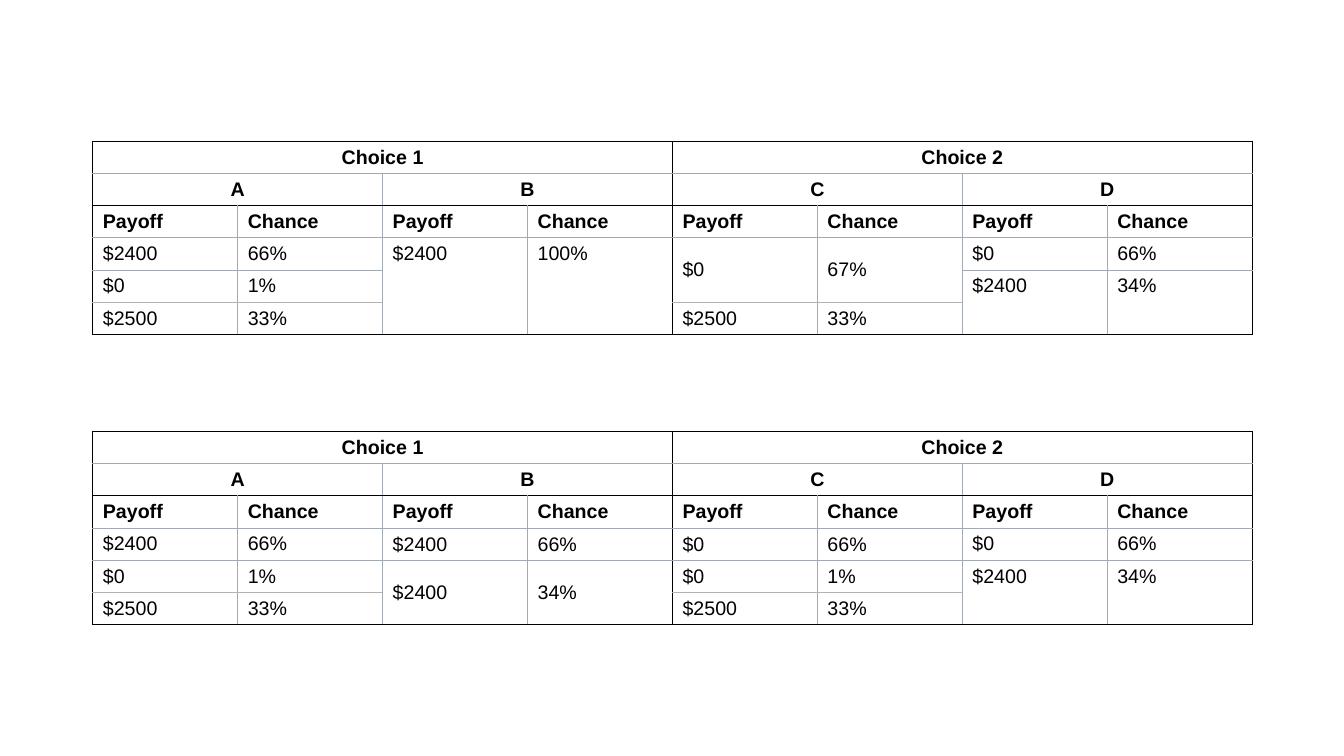
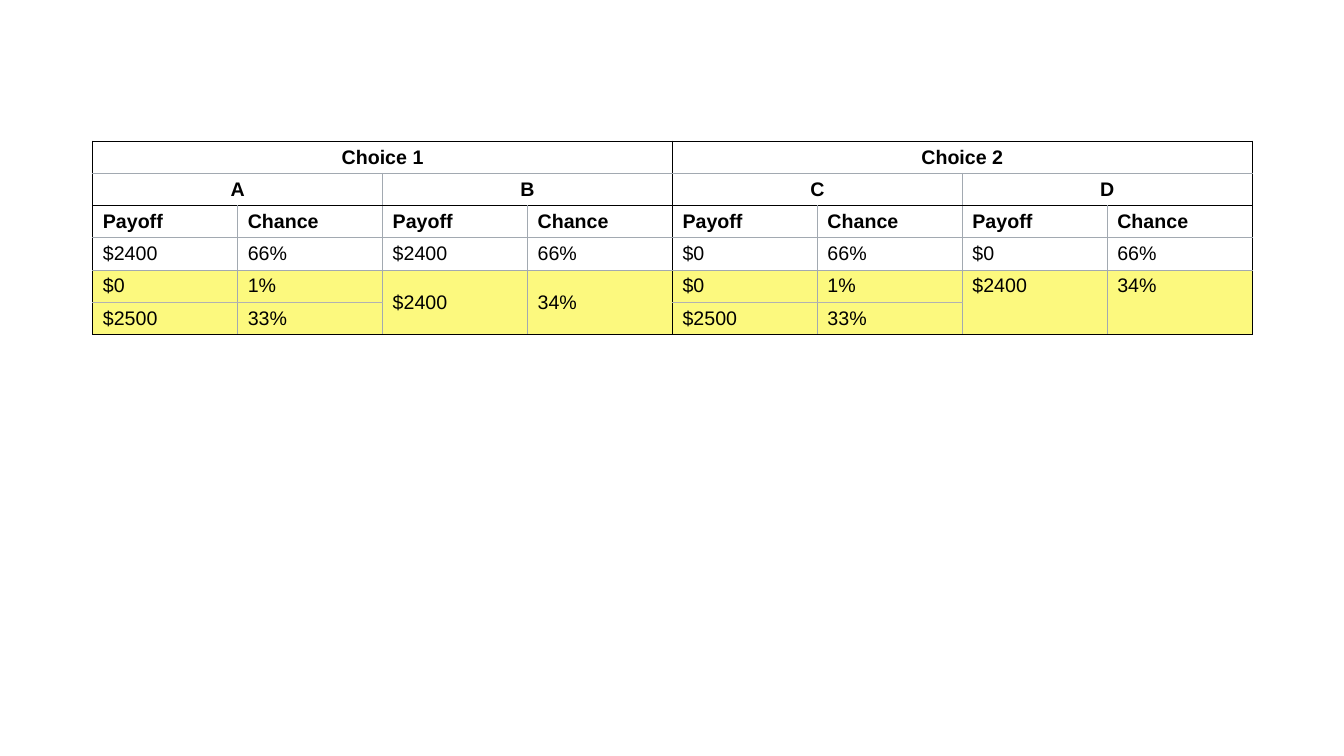
"""Build two slides that compare paired choices between gambles."""
from lxml import etree
from pptx import Presentation
from pptx.dml.color import RGBColor
from pptx.enum.text import MSO_ANCHOR, PP_ALIGN
from pptx.oxml.ns import qn
from pptx.util import Inches, Pt

CHOICES = ["Choice 1", "Choice 2"]
OPTIONS = ["A", "B", "C", "D"]
HEADINGS = ["Payoff", "Chance"]

GAMBLE_A = [("$2400", "66%", 1), ("$0", "1%", 1), ("$2500", "33%", 1)]
GAMBLE_D = [("$0", "66%", 1), ("$2400", "34%", 2)]
SIMPLE = {
    "gambles": [
        GAMBLE_A,
        [("$2400", "100%", 3)],
        [("$0", "67%", 2), ("$2500", "33%", 1)],
        GAMBLE_D,
    ],
    "middle": "C",
}
SPLIT = {
    "gambles": [
        GAMBLE_A,
        [("$2400", "66%", 1), ("$2400", "34%", 2)],
        [("$0", "66%", 1), ("$0", "1%", 1), ("$2500", "33%", 1)],
        GAMBLE_D,
    ],
    "middle": "BC",
}
SLIDES = [
    [(SIMPLE, 1.4, False), (SPLIT, 4.28, False)],
    [(SPLIT, 1.4, True)],
]

ROWS, COLUMNS = 6, 8
HEADER_ROWS, HIGHLIGHT_ROW = 3, 4
LEFT, WIDTH, ROW_HEIGHT = Inches(0.92), Inches(11.5), Inches(0.32)
STRONG, THIN, SOFT = ("000000", 1), ("A2A9B1", 0.75), ("B2B2B2", 1)
ROW_LINES = {0: STRONG, 2: STRONG, 5: SOFT, ROWS: STRONG}
COLUMN_LINES = {0: STRONG, COLUMNS // 2: STRONG, COLUMNS: STRONG}
TEXT_FORMAT = {"name": "Arial", "size": Pt(14)}
HIGHLIGHT = "FCF97E"
NO_STYLE = "{2D5ABB26-0587-4C30-8999-92F81FD0307C}"


def color(value):
    """Turn a hex string into a colour."""
    return RGBColor.from_string(value)


def table_blocks(content):
    """Yield text, row, column, row span, column span and anchor of each block."""
    for index, choice in enumerate(CHOICES):
        yield choice, 0, index * 4, 1, 4, MSO_ANCHOR.MIDDLE
    for index, (option, gamble) in enumerate(zip(OPTIONS, content["gambles"])):
        first = index * 2
        yield option, 1, first, 1, 2, MSO_ANCHOR.MIDDLE
        for offset, heading in enumerate(HEADINGS):
            yield heading, 2, first + offset, 1, 1, MSO_ANCHOR.MIDDLE
        anchor = MSO_ANCHOR.MIDDLE if option in content["middle"] else MSO_ANCHOR.TOP
        row = HEADER_ROWS
        for *texts, height in gamble:
            for offset, text in enumerate(texts):
                yield text, row, first + offset, height, 1, anchor
            row += height


def add_border(cell, side, line):
    """Draw one side of a cell, or leave it without a line."""
    properties = cell._tc.get_or_add_tcPr()
    border = etree.SubElement(properties, qn(f"a:ln{side}"))
    if line is None:
        etree.SubElement(border, qn("a:noFill"))
        return
    value, points = line
    border.set("w", str(Pt(points)))
    fill = etree.SubElement(border, qn("a:solidFill"))
    etree.SubElement(fill, qn("a:srgbClr"), val=value)


def format_cells(table, row, column, height, width, highlighted):
    """Give a block of cells its outer borders and its fill."""
    bottom, right = row + height, column + width
    outline = {
        "L": COLUMN_LINES.get(column, THIN),
        "R": COLUMN_LINES.get(right, THIN),
        "T": ROW_LINES.get(row, THIN),
        "B": ROW_LINES.get(bottom, THIN),
    }
    for y in range(row, bottom):
        for x in range(column, right):
            cell = table.cell(y, x)
            outer = {"L": x == column, "R": x == right - 1,
                     "T": y == row, "B": y == bottom - 1}
            for side, line in outline.items():
                visible = cell.is_merge_origin or outer[side]
                add_border(cell, side, line if visible else None)
            if highlighted and y >= HIGHLIGHT_ROW:
                cell.fill.solid()
                cell.fill.fore_color.rgb = color(HIGHLIGHT)
            else:
                cell.fill.background()


def write_cell(cell, text, anchor, bold, centered):
    """Write formatted text into a cell."""
    cell.vertical_anchor = anchor
    paragraph = cell.text_frame.paragraphs[0]
    paragraph.alignment = PP_ALIGN.CENTER if centered else PP_ALIGN.LEFT
    run = paragraph.add_run()
    run.text = text
    for name, value in {**TEXT_FORMAT, "bold": bold}.items():
        setattr(run.font, name, value)
    run.font.color.rgb = color("000000")


def add_choice_table(slide, content, top, highlighted):
    """Add one table of choices to a slide."""
    frame = slide.shapes.add_table(
        ROWS, COLUMNS, LEFT, Inches(top), WIDTH, ROW_HEIGHT * ROWS)
    table = frame.table
    table.first_row = table.horz_banding = False
    table._tbl.tblPr.find(qn("a:tableStyleId")).text = NO_STYLE
    for row in table.rows:
        row.height = ROW_HEIGHT
    for text, row, column, height, width, anchor in table_blocks(content):
        cell = table.cell(row, column)
        if height * width > 1:
            cell.merge(table.cell(row + height - 1, column + width - 1))
        write_cell(cell, text, anchor, row < HEADER_ROWS, width > 1)
        format_cells(table, row, column, height, width, highlighted)


def main():
    """Build and save the presentation."""
    presentation = Presentation()
    presentation.slide_width = Inches(13.33)
    presentation.slide_height = Inches(7.5)
    blank_layout = presentation.slide_layouts[6]
    for tables in SLIDES:
        slide = presentation.slides.add_slide(blank_layout)
        for content, top, highlighted in tables:
            add_choice_table(slide, content, top, highlighted)
    presentation.save("out.pptx")


if __name__ == "__main__":
    main()
